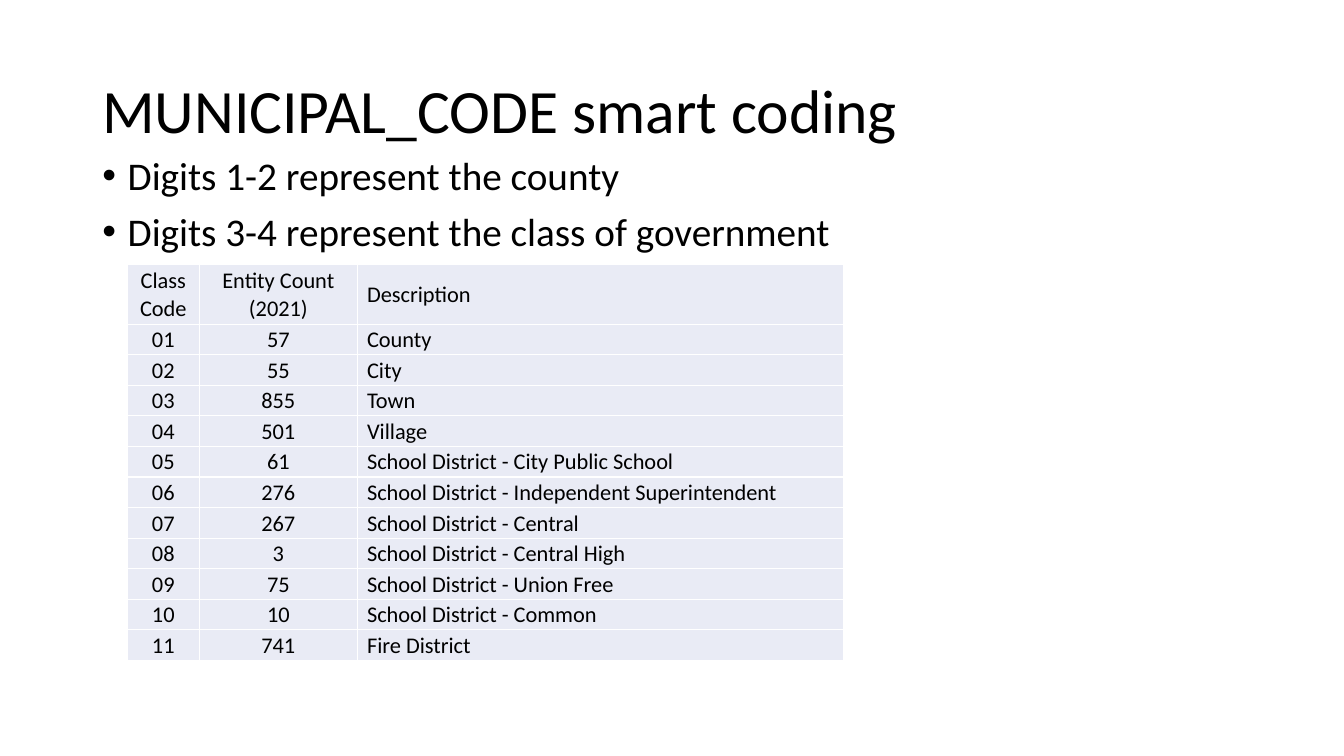
import pptx
import pptx.util
import pptx.dml.color
import pptx.enum.text
import pptx.oxml
from pptx.oxml.ns import nsdecls
from pptx.util import Cm, Pt

ALIGN = pptx.enum.text.PP_ALIGN
ANCHOR = pptx.enum.text.MSO_ANCHOR

POINTS = [
    "Digits 1-2 represent the county",
    "Digits 3-4 represent the class of government",
]
ROWS = [
    ("Class Code", "Entity Count (2021)", "Description"),
    ("01", "57", "County"),
    ("02", "55", "City"),
    ("03", "855", "Town"),
    ("04", "501", "Village"),
    ("05", "61", "School District - City Public School"),
    ("06", "276", "School District - Independent Superintendent"),
    ("07", "267", "School District - Central"),
    ("08", "3", "School District - Central High"),
    ("09", "75", "School District - Union Free"),
    ("10", "10", "School District - Common"),
    ("11", "741", "Fire District"),
]
WIDTHS = [1.83, 3.97, 12.25]
HEAD_HIGH, ROW_HIGH = 1.51, 0.77


def color(code):
    return pptx.dml.color.RGBColor.from_string(code)


def write(para, text, size=16, ink="000000", align=ALIGN.LEFT, line=1.0, before=0):
    para.alignment = align
    para.line_spacing = line
    para.space_before = Pt(before)
    run = para.add_run()
    run.text = text
    run.font.name = "Calibri"
    run.font.size = Pt(size)
    run.font.bold = False
    run.font.color.rgb = color(ink)


def add_box(slide, left, top, width, height, anchor=ANCHOR.TOP):
    box = slide.shapes.add_textbox(Cm(left), Cm(top), Cm(width), Cm(height))
    frame = box.text_frame
    frame.word_wrap = True
    frame.vertical_anchor = anchor
    return frame


def add_bullet(para):
    props = para._p.get_or_add_pPr()
    props.set("marL", str(Cm(0.64)))
    props.set("indent", str(Cm(-0.64)))
    for tag in ('buFont {} typeface="Arial"', 'buChar {} char="•"'):
        props.append(pptx.oxml.parse_xml(f"<a:{tag.format(nsdecls('a'))}/>"))


def add_list(slide, items):
    frame = add_box(slide, 2.33, 3.81, 29.21, 12.09)
    for i, item in enumerate(items):
        para = frame.add_paragraph() if i else frame.paragraphs[0]
        add_bullet(para)
        write(para, item, size=28, line=0.9, before=10 if i else 0)


def set_edges(cell, code, width):
    props = cell._tc.get_or_add_tcPr()
    for side in "LRTB":
        props.append(pptx.oxml.parse_xml(
            f'<a:ln{side} {nsdecls("a")} w="{Pt(width)}"><a:solidFill>'
            f'<a:srgbClr val="{code}"/></a:solidFill></a:ln{side}>'))


def fill_cell(cell, text, align):
    set_edges(cell, "FFFFFF", 1)
    cell.fill.solid()
    cell.fill.fore_color.rgb = color("E9EBF5")
    cell.vertical_anchor = ANCHOR.MIDDLE
    cell.margin_left = cell.margin_right = Cm(0.25)
    cell.margin_top, cell.margin_bottom = Cm(0.03), 0
    write(cell.text_frame.paragraphs[0], text, align=align)


def add_grid(slide, rows):
    highs = [HEAD_HIGH] + [ROW_HIGH] * (len(rows) - 1)
    table = slide.shapes.add_table(
        len(rows), len(WIDTHS), Cm(3.2), Cm(6.66),
        Cm(sum(WIDTHS)), Cm(sum(highs))).table
    table.first_row = table.horz_banding = False
    for col, width in zip(table.columns, WIDTHS):
        col.width = Cm(width)
    for r, (row, high) in enumerate(zip(rows, highs)):
        table.rows[r].height = Cm(high)
        for c, text in enumerate(row):
            fill_cell(table.cell(r, c), text, ALIGN.CENTER if c < 2 else ALIGN.LEFT)


def main():
    deck = pptx.Presentation()
    deck.slide_width, deck.slide_height = Cm(33.87), Cm(19.05)
    slide = deck.slides.add_slide(deck.slide_layouts[6])

    # Title
    title = add_box(slide, 2.33, 1.01, 29.21, 3.68, ANCHOR.MIDDLE)
    write(title.paragraphs[0], "MUNICIPAL_CODE smart coding", size=44, line=0.9)

    # Digit rules and class codes
    add_list(slide, POINTS)
    add_grid(slide, ROWS)

    deck.save("out.pptx")


if __name__ == "__main__":
    main()
